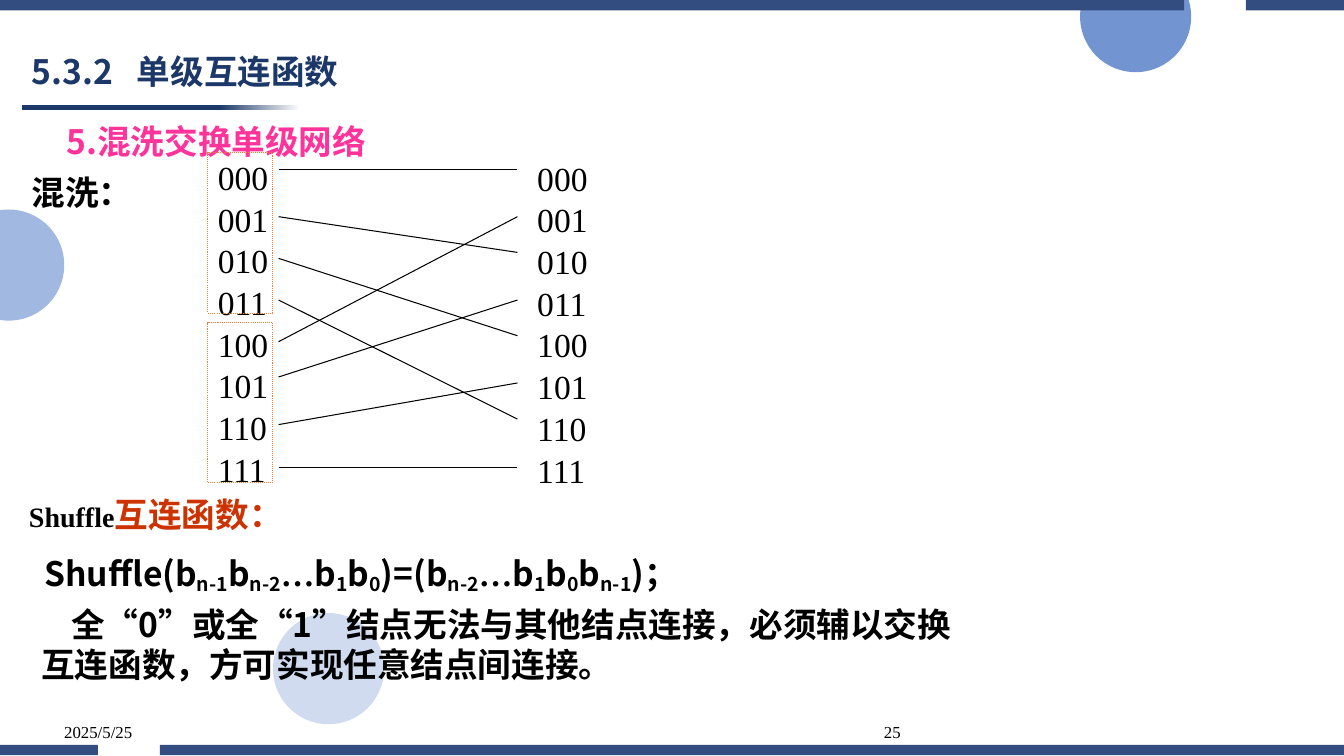
from lxml.etree import SubElement
from pptx import Presentation
from pptx.dml.color import RGBColor
from pptx.enum.dml import MSO_LINE
from pptx.enum.shapes import MSO_CONNECTOR, MSO_SHAPE
from pptx.enum.text import MSO_ANCHOR, PP_ALIGN
from pptx.oxml.ns import qn
from pptx.util import Cm, Pt

COLORS = {
    "navy": "1B3868", "bar": "334D80", "circle": "4472C4", "pink": "FF3399",
    "red": "CC3300", "orange": "ED7D31", "black": "000000", "white": "FFFFFF",
}
SANS, SERIF = "Noto Sans CJK SC", "Times New Roman"
BOLD = {"name": SANS, "size": Pt(24), "bold": True, "color": "black"}
SERIF_BOLD = BOLD | {"name": SERIF}
QUOTE = SERIF_BOLD | {"east_asian": SANS}
SUB = BOLD | {"baseline": -14000}
LABEL = {"name": SERIF, "size": Pt(24), "color": "black"}
FOOTER = LABEL | {"size": Pt(12)}

BITS = 3
LABEL_PITCH = 1.05
LABEL_COLUMNS = [(5.24, 3.83), (13.29, 3.85)]
LINE_LEFT, LINE_RIGHT = 7.02, 13.04
INPUT_ENDS = [4.27, 5.46, 6.51, 7.56, 8.61, 9.5, 10.7, 11.79]
OUTPUT_ENDS = [4.27, 5.46, 6.36, 7.56, 8.46, 9.65, 10.56, 11.79]

FORMULA = [
    ("Shuffle(b", BOLD), ("n-1", SUB), ("b", BOLD), ("n-2", SUB), ("…", SERIF_BOLD),
    ("b", BOLD), ("1", SUB), ("b", BOLD), ("0", SUB), (")=(b", BOLD),
    ("n-2", SUB), ("…", SERIF_BOLD), ("b", BOLD), ("1", SUB), ("b", BOLD),
    ("0", SUB), ("b", BOLD), ("n-1", SUB), (")；", BOLD),
]
REMARK = [
    ("全", BOLD), ("“", QUOTE), ("0", BOLD), ("”", QUOTE), ("或全", BOLD),
    ("“", QUOTE), ("1", BOLD), ("”", QUOTE),
    ("结点无法与其他结点连接，必须辅以交换互连函数，方可实现任意结点间连接。", BOLD),
]


def rgb(name):
    return RGBColor.from_string(COLORS[name])


def add_span(para, text, style):
    span = para.add_run()
    span.text = text
    properties = span._r.get_or_add_rPr()
    for key, value in style.items():
        if key == "color":
            span.font.color.rgb = rgb(value)
        elif key == "baseline":
            properties.set("baseline", str(value))
        elif key != "east_asian":
            setattr(span.font, key, value)
    east_asian = style.get("east_asian", style["name"])
    SubElement(properties, qn("a:ea"), typeface=east_asian)


def add_text(page, left, top, width, height, spans, anchor=MSO_ANCHOR.TOP,
             indent=0, tab=None, **format_values):
    box = page.shapes.add_textbox(Cm(left), Cm(top), Cm(width), Cm(height))
    frame = box.text_frame
    frame.word_wrap = True
    frame.vertical_anchor = anchor
    para = frame.paragraphs[0]
    properties = para._p.get_or_add_pPr()
    if indent:
        properties.set("indent", str(Cm(indent)))
    if tab:
        tabs = SubElement(properties, qn("a:tabLst"))
        SubElement(tabs, qn("a:tab"), pos=str(Cm(tab)), algn="l")
    for key, value in format_values.items():
        setattr(para, key, value)
    for text, style in spans:
        add_span(para, text, style)


def add_shape(page, kind, left, top, width, height):
    shape = page.shapes.add_shape(kind, Cm(left), Cm(top), Cm(width), Cm(height))
    shape.shadow.inherit = False
    return shape


def add_circle(page, left, top, opacity):
    circle = add_shape(page, MSO_SHAPE.OVAL, left, top, 2.8, 2.8)
    circle.fill.solid()
    circle.fill.fore_color.rgb = rgb("circle")
    circle.line.fill.background()
    color = circle.fill._xPr.find(qn("a:solidFill"))[0]
    SubElement(color, qn("a:alpha"), val=str(opacity * 1000))


def add_bar(page, top, pieces):
    """Draw one outline made of a rectangle for each (left, right) piece."""
    bottom = top + 0.26
    builder = page.shapes.build_freeform(Cm(pieces[0][0]), Cm(top))
    for left, right in pieces:
        builder.move_to(Cm(left), Cm(top))
        corners = [(right, top), (right, bottom), (left, bottom)]
        builder.add_line_segments([(Cm(x), Cm(y)) for x, y in corners])
    bar = builder.convert_to_shape()
    bar.shadow.inherit = False
    bar.fill.solid()
    bar.fill.fore_color.rgb = rgb("bar")
    bar.line.fill.background()


def add_underline(page):
    underline = add_shape(page, MSO_SHAPE.RECTANGLE, 0.55, 2.65, 7.01, 0.13)
    underline.line.fill.background()
    underline.fill.gradient()
    underline.fill.gradient_angle = 0
    stops = zip(underline.fill.gradient_stops, [(0.71, "navy"), (1, "white")])
    for stop, (position, color) in stops:
        stop.position = position
        stop.color.rgb = rgb(color)


def add_group_frame(page, top):
    frame = add_shape(page, MSO_SHAPE.RECTANGLE, 5.24, top, 1.63, 4.04)
    frame.fill.background()
    frame.line.color.rgb = rgb("orange")
    frame.line.width = Pt(0.75)
    frame.line.dash_style = MSO_LINE.ROUND_DOT


def add_link(page, start_y, end_y):
    link = page.shapes.add_connector(
        MSO_CONNECTOR.STRAIGHT,
        Cm(LINE_LEFT), Cm(start_y), Cm(LINE_RIGHT), Cm(end_y))
    link.line.color.rgb = rgb("black")
    link.line.width = Pt(0.75)
    SubElement(link._element.spPr, qn("a:effectLst"))


def shuffle(node):
    """Rotate the node's bits one place to the left."""
    count = 2 ** BITS
    return node * 2 % count + node * 2 // count


def add_network(page):
    for node in range(2 ** BITS):
        label = [(f"{node:0{BITS}b}", LABEL)]
        for left, top in LABEL_COLUMNS:
            add_text(page, left, top + node * LABEL_PITCH, 1.8, 1.3, label)
        add_link(page, INPUT_ENDS[node], OUTPUT_ENDS[shuffle(node)])
    for top in (3.85, 8.13):
        add_group_frame(page, top)


def main():
    deck = Presentation()
    deck.slide_width, deck.slide_height = Cm(33.87), Cm(19.05)
    page = deck.slides.add_slide(deck.slide_layouts[6])

    for left, top, opacity in [(6.88, 15.45, 25), (-1.18, 5.28, 50), (27.22, -0.98, 75)]:
        add_circle(page, left, top, opacity)
    add_underline(page)
    add_bar(page, 18.77, [(0, 2.47), (4.03, 33.87)])
    add_bar(page, 0, [(0, 29.84), (31.4, 33.87)])

    add_text(page, 0.55, 1.15, 12.04, 1.42,
             [("5.3.2\t单级互连函数", BOLD | {"color": "navy"})],
             MSO_ANCHOR.MIDDLE, tab=2.65, line_spacing=0.9)
    add_text(page, 1.37, 17.81, 5.28, 1.27, [("2025/5/25", FOOTER)], MSO_ANCHOR.MIDDLE)
    add_text(page, 17.67, 17.81, 5.28, 1.27, [("25", FOOTER)], MSO_ANCHOR.MIDDLE,
             alignment=PP_ALIGN.RIGHT)
    add_text(page, 1.43, 2.91, 23.93, 1.27,
             [("5.混洗交换单级网络", BOLD | {"color": "pink"})])
    add_text(page, 0.55, 4.2, 9.8, 1.27, [("混洗：", BOLD)])
    add_network(page)
    add_text(page, 0.48, 12.32, 14.5, 1.27,
             [("Shuffle", SERIF_BOLD | {"size": Pt(20)}),
              ("互连函数：", BOLD | {"color": "red"})])
    add_text(page, 0.87, 13.82, 23.4, 1.27, FORMULA)
    add_text(page, 0.79, 15.09, 24.13, 2.31, REMARK, indent=0.76)

    deck.save("out.pptx")


if __name__ == "__main__":
    main()
